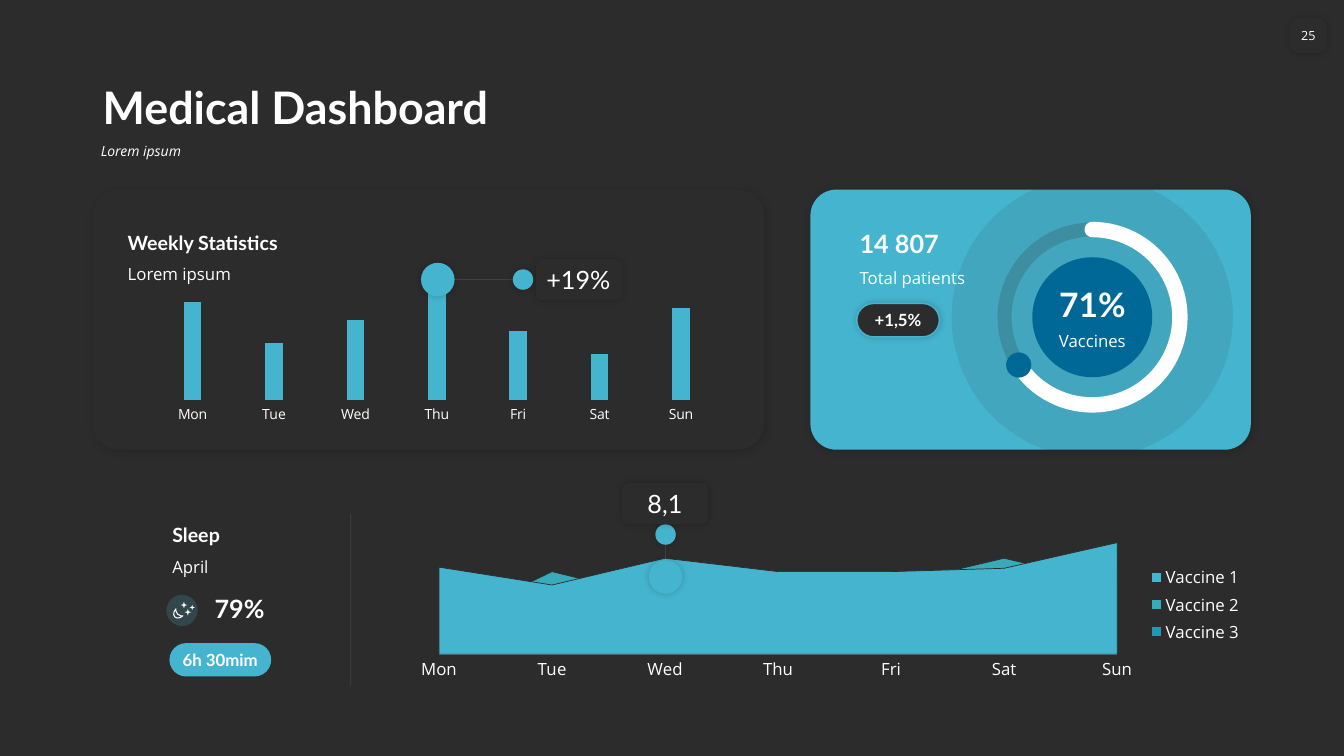
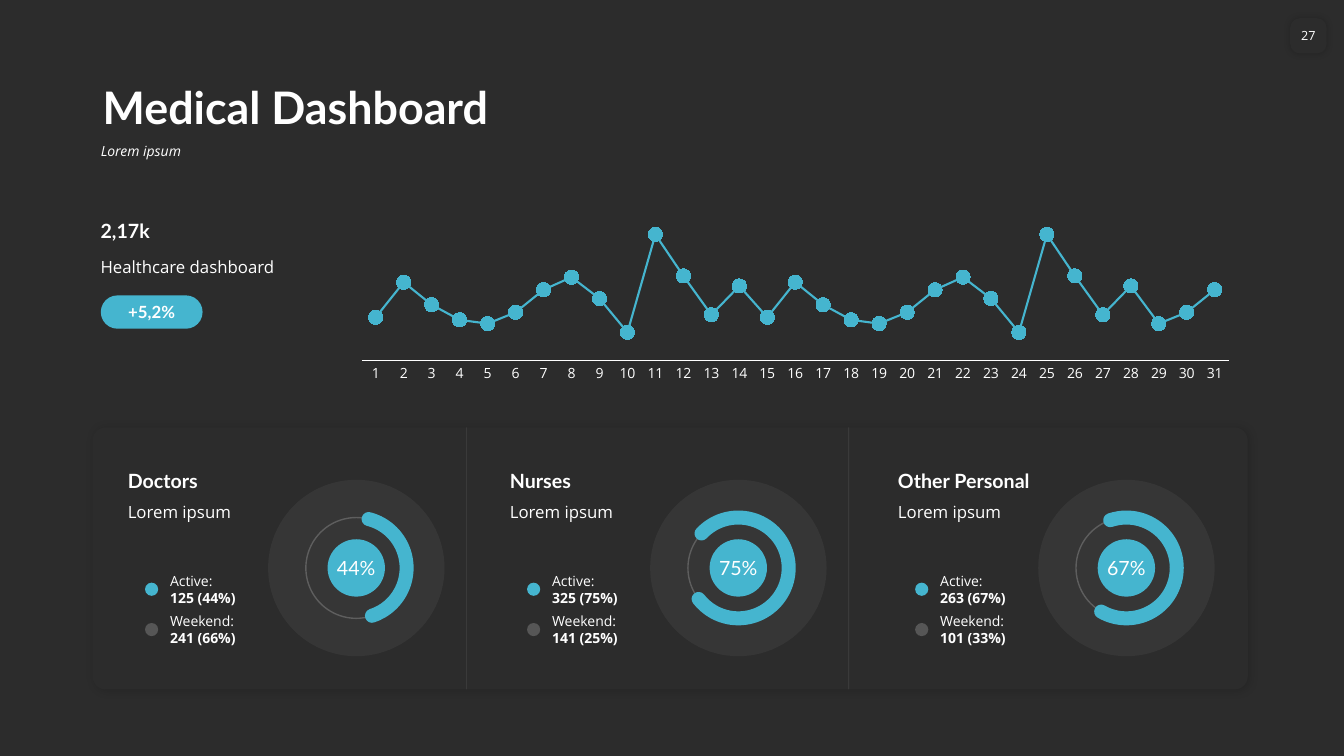
import math

import lxml.etree
import pptx
import pptx.chart.data
import pptx.dml.color
import pptx.enum.chart
import pptx.enum.shapes
import pptx.enum.text
import pptx.oxml.ns
import pptx.util

Pt = pptx.util.Pt
qn = pptx.oxml.ns.qn
SHAPE = pptx.enum.shapes.MSO_SHAPE
CHART = pptx.enum.chart.XL_CHART_TYPE
ALIGN = pptx.enum.text.PP_ALIGN
ANCHOR = pptx.enum.text.MSO_ANCHOR

DARK, WHITE, SKY, NAVY = "2C2C2C", "FFFFFF", "45B5CF", "006896"
HEAD_FONT, TEXT_FONT = "Lato", "Open Sans"
SOFT = (20, 5, 0)  # shadow opacity, blur, distance
PANEL_SHADOW = (15, 6, 1)
WEEKDAYS = ["Mon", "Tue", "Wed", "Thu", "Fri", "Sat", "Sun"]


def colour(hex_text):
    return pptx.dml.color.RGBColor.from_string(hex_text)


def points(*values):
    return [Pt(value) for value in values]


def child(parent, tag, **attributes):
    element = lxml.etree.SubElement(parent, qn(tag))
    for key, value in attributes.items():
        element.set(key, str(value))
    return element


def fade(shape, route, opacity):
    if opacity < 100:
        for tint in shape.element.spPr.xpath(route + "/a:srgbClr"):
            child(tint, "a:alpha", val=opacity * 1000)


def write(frame, text, size=12, font=TEXT_FONT, bold=False, italic=False, align=ALIGN.LEFT,
          anchor=ANCHOR.TOP, insets=(7.2, 3.6), wrap=True, spacing=None):
    """Fill a frame, one paragraph per line; bold may be a tuple with one flag per line."""
    lines = text.split("\n")
    weights = bold if isinstance(bold, tuple) else (bold,) * len(lines)
    frame.word_wrap = wrap
    frame.auto_size = pptx.enum.text.MSO_AUTO_SIZE.NONE
    frame.vertical_anchor = anchor
    frame.margin_left = frame.margin_right = Pt(insets[0])
    frame.margin_top = frame.margin_bottom = Pt(insets[1])
    for index, (line, weight) in enumerate(zip(lines, weights)):
        paragraph = frame.add_paragraph() if index else frame.paragraphs[0]
        paragraph.alignment = align
        paragraph.space_before = Pt(0)
        if spacing:
            paragraph.line_spacing = spacing
        run = paragraph.add_run()
        run.text = line
        run.font.size, run.font.name = Pt(size), font
        run.font.bold, run.font.italic = weight, italic
        run.font.color.rgb = colour(WHITE)


def label(slide, text, box, **style):
    write(slide.shapes.add_textbox(*points(*box)).text_frame, text, **style)


def draw(slide, kind, box, fill=None, opacity=100, line=None, width=1, line_opacity=100,
         shadow=None, adjust=()):
    shape = slide.shapes.add_shape(kind, *points(*box))
    for index, value in enumerate(adjust):
        shape.adjustments[index] = value
    if fill:
        shape.fill.solid()
        shape.fill.fore_color.rgb = colour(fill)
        fade(shape, "./a:solidFill", opacity)
    else:
        shape.fill.background()
    if line:
        shape.line.color.rgb = colour(line)
        shape.line.width = Pt(width)
        fade(shape, "./a:ln/a:solidFill", line_opacity)
    else:
        shape.line.fill.background()
    shape.shadow.inherit = False
    if shadow:
        strength, blur, distance = shadow
        effects = shape.element.spPr.find(qn("a:effectLst"))
        cast = child(effects, "a:outerShdw", blurRad=Pt(blur), dist=Pt(distance),
                     dir=45 * 60000, algn="ctr", rotWithShape=0)
        child(child(cast, "a:srgbClr", val="000000"), "a:alpha", val=strength * 1000)
    return shape


def disc(slide, centre, diameter, fill=None, **style):
    x, y = centre
    box = (x - diameter / 2, y - diameter / 2, diameter, diameter)
    return draw(slide, SHAPE.OVAL, box, fill, **style)


def arc(slide, centre, diameter, start, end, line, width):
    """Round-ended arc; angles in degrees, clockwise from the right."""
    x, y = centre
    box = (x - diameter / 2, y - diameter / 2, diameter, diameter)
    band = draw(slide, SHAPE.ARC, box, line=line, width=width, adjust=(start * 0.6, end * 0.6))
    band.element.spPr.find(qn("a:ln")).set("cap", "rnd")


def hairline(slide, start, end):
    rule = slide.shapes.add_connector(pptx.enum.shapes.MSO_CONNECTOR.STRAIGHT,
                                      *points(*start, *end))
    rule.line.color.rgb = colour(WHITE)
    rule.line.width = Pt(0.5)
    fade(rule, "./a:ln/a:solidFill", 10)
    child(rule.element.spPr, "a:effectLst")


def pill(slide, text, box, fill=SKY, **style):
    capsule = draw(slide, SHAPE.ROUNDED_RECTANGLE, box, fill, adjust=(0.5,), **style)
    write(capsule.text_frame, text, font=HEAD_FONT, bold=True, align=ALIGN.CENTER,
          anchor=ANCHOR.MIDDLE, insets=(0, 0))


def heading(slide, title, caption, left, caption_top, width, size=14, gap=0, align=ALIGN.LEFT):
    height = size * 1.2 + 7.2
    label(slide, title, (left, caption_top - gap - height, width, height), size=size,
          font=HEAD_FONT, bold=True, align=align, anchor=ANCHOR.BOTTOM)
    label(slide, caption, (left, caption_top, width, 21.6), align=align)


def callout(slide, text, marker, dot, corner, align):
    hairline(slide, marker, dot)
    disc(slide, marker, 24, SKY, shadow=SOFT)
    disc(slide, dot, 14.6, SKY, shadow=SOFT)
    bubble = draw(slide, SHAPE.ROUNDED_RECTANGLE, (*corner, 61.2, 29.5), DARK, shadow=SOFT)
    write(bubble.text_frame, text, size=18, font=HEAD_FONT, align=align,
          anchor=ANCHOR.MIDDLE, insets=(5.8, 3.6))


def plot_chart(slide, kind, box, categories, series, inner, top, size, crossing="between",
               axis_line=True):
    """Chart with a hidden value axis; inner is the plot box as fractions of the chart."""
    data = pptx.chart.data.CategoryChartData()
    data.categories = categories
    for name, values, _ in series:
        data.add_series(name, values)
    chart = slide.shapes.add_chart(kind, *points(*box), data).chart
    chart.has_title = chart.has_legend = False
    chart.font.size, chart.font.name = Pt(size), TEXT_FONT
    chart.font.color.rgb = colour(WHITE)
    chart.plots[0].vary_by_categories = False
    scale, days = chart.value_axis, chart.category_axis
    scale.visible = scale.has_major_gridlines = False
    scale.minimum_scale, scale.maximum_scale = 0, top
    days.has_major_gridlines = False
    days.major_tick_mark = days.minor_tick_mark = pptx.enum.chart.XL_TICK_MARK.NONE
    if axis_line:
        days.format.line.color.rgb = colour(WHITE)
        days.format.line.width = Pt(0.75)
    else:
        days.format.line.fill.background()
    for crossed in chart.element.xpath(".//c:valAx/c:crossBetween"):
        crossed.set("val", crossing)
    plot_area = chart.element.xpath(".//c:plotArea")[0]
    for automatic in plot_area.findall(qn("c:layout")):
        plot_area.remove(automatic)
    layout = child(plot_area, "c:layout")
    plot_area.insert(0, layout)
    manual = child(layout, "c:manualLayout")
    child(manual, "c:layoutTarget", val="inner")
    for side in ("x", "y"):
        child(manual, f"c:{side}Mode", val="edge")
    for side, share in zip("xywh", inner):
        child(manual, f"c:{side}", val=share)
    for drawn, (_, _, fill) in zip(chart.plots[0].series, series):
        if kind == CHART.LINE_MARKERS_STACKED:
            drawn.smooth = False
            drawn.format.line.color.rgb = colour(fill)
            drawn.format.line.width = Pt(1.5)
            drawn.marker.style = pptx.enum.chart.XL_MARKER_STYLE.CIRCLE
            drawn.marker.size = 10
            drawn.marker.format.line.color.rgb = colour(fill)
            surface = drawn.marker.format.fill
        else:
            surface = drawn.format.fill
        surface.solid()
        surface.fore_color.rgb = colour(fill)
    return chart


def dashboard_slide(deck, number):
    slide = deck.slides.add_slide(deck.slide_layouts[1])
    title, subtitle = slide.placeholders[0], slide.placeholders[1]
    title.left, title.top, title.width, title.height = points(66.2, 41.8, 828, 57.6)
    subtitle.left, subtitle.top, subtitle.width, subtitle.height = points(64.8, 99.4, 829.4, 26)
    write(title.text_frame, "Medical Dashboard", size=32, font=HEAD_FONT, bold=True,
          anchor=ANCHOR.BOTTOM, spacing=0.9)
    plain = subtitle.text_frame.paragraphs[0]._p.get_or_add_pPr()
    plain.set("marL", "0")
    plain.set("indent", "0")
    child(plain, "a:buNone")
    write(subtitle.text_frame, "Lorem ipsum", size=10, italic=True, spacing=0.9)
    tab = draw(slide, SHAPE.ROUNDED_RECTANGLE, (921.6, 13, 26, 25.2), DARK, shadow=SOFT,
               adjust=(0.27,))
    write(tab.text_frame, number, size=9, align=ALIGN.CENTER, anchor=ANCHOR.MIDDLE,
          insets=(0, 3.6), wrap=False)
    return slide


def weekly_panel(slide, box):
    left, top, width, _ = box
    draw(slide, SHAPE.ROUNDED_RECTANGLE, box, DARK, shadow=PANEL_SHADOW, adjust=(0.1,))
    chart = plot_chart(slide, CHART.COLUMN_CLUSTERED, (left + 33.8, top + 49.7, 424, 120.2),
                       WEEKDAYS, [("Series 1", (86, 50, 70, 100, 60, 40, 80), SKY)],
                       (0.02, 0.02, 0.96, 0.82), 120, 10, axis_line=False)
    chart.plots[0].gap_width, chart.plots[0].overlap = 360, -30
    heading(slide, "Weekly Statistics", "Lorem ipsum", left + 18, top + 49.7, 144)
    level = top + 64.3
    callout(slide, "+19%", (left + 246.5, level), (left + 307.4, level),
            (left + 316.8, top + 49.7), ALIGN.LEFT)


def patients_panel(slide, box):
    left, top = box[:2]
    draw(slide, SHAPE.ROUNDED_RECTANGLE, box, SKY, shadow=PANEL_SHADOW, adjust=(0.1,))
    centre = x, y = left + 201.3, top + 91.2
    ring, turn = 125.3, math.radians(147)
    disc(slide, centre, 200.9, DARK, opacity=10)
    disc(slide, centre, 85.7, NAVY)
    disc(slide, centre, ring, line=DARK, width=10, line_opacity=20)
    arc(slide, centre, ring, 270, 140.65, WHITE, 11)
    disc(slide, (x + ring / 2 * math.cos(turn), y + ring / 2 * math.sin(turn)), 18, NAVY)
    heading(slide, "71%", "Vaccines", x - 42.8, top + 97.6, 85.7, size=24, gap=-2,
            align=ALIGN.CENTER)
    heading(slide, "14 807", "Total patients", left + 28, top + 52.5, 134, size=18)
    pill(slide, "+1,5%", (left + 33.1, top + 81.4, 59, 23.8), DARK, line=SKY, shadow=SOFT)


def sleep_panel(slide, left, top):
    heading(slide, "Sleep", "April", left, top + 26.8, 119.5)
    disc(slide, (left + 14, top + 69), 22.3, SKY, opacity=20)
    label(slide, "79%", (left + 30.2, top + 53.5, 89.3, 28.8), size=18, font=HEAD_FONT,
          bold=True, anchor=ANCHOR.BOTTOM)
    pill(slide, "6h 30mim", (left + 5, top + 92.4, 72.7, 23.8))
    moon = draw(slide, SHAPE.MOON, (left + 8.2, top + 68.5, 4.6, 7), line=WHITE, width=0.75,
                adjust=(0.6,))
    moon.rotation = 315
    for x, y, size in ((19.4, 65, 3.8), (13, 62.8, 4.8), (15.8, 67.9, 4.8)):
        draw(slide, SHAPE.STAR_4_POINT, (left + x, top + y, size, size), WHITE, adjust=(0.17,))
    hairline(slide, (left + 134.6, top + 122.6), (left + 134.6, top))


def vaccine_trend(slide, box):
    left, top = box[:2]
    series = [("Vaccine 1", (78, 62, 86, 74, 74, 77, 100), SKY),
              ("Vaccine 2", (25, 74, 49, 37, 62, 86, 62), "39AAB9"),
              ("Vaccine 3", (37, 49, 25, 25, 49, 62, 74), "199DB3")]
    chart = plot_chart(slide, CHART.AREA, box, WEEKDAYS, series, (0.04, 0.11, 0.8, 0.7), 100, 12,
                       crossing="midCat")
    for area in chart.plots[0].series:
        area.format.line.color.rgb = colour(DARK)
        area.format.line.width = Pt(0.5)
    chart.has_legend = True
    chart.legend.position = pptx.enum.chart.XL_LEGEND_POSITION.RIGHT
    chart.legend.include_in_layout = False
    x = left + 186
    callout(slide, "8,1", (x, top + 37), (x, top + 6.7), (x - 31, top - 30.2), ALIGN.CENTER)


def healthcare_summary(slide, left, top):
    heading(slide, "2,17k", "Healthcare dashboard", left, top + 28, 153.4, gap=3.5)
    pill(slide, "+5,2%", (left + 7.2, top + 59, 72.7, 23.8))


def daily_chart(slide, box):
    values = (34, 62, 44, 32, 29, 38, 56, 66, 49, 22, 100, 67, 36, 59, 34, 62, 44, 32, 29, 38,
              56, 66, 49, 22, 100, 67, 36, 59, 29, 38, 56)
    plot_chart(slide, CHART.LINE_MARKERS_STACKED, box, [str(day) for day in range(1, 32)],
               [("Series 1", values, SKY)], (0.02, 0.01, 0.96, 0.84), 120, 10)


def staff_card(slide, left, top, role, share, start, end, active, weekend):
    centre = x, y = left + 188.3, top + 100.4
    disc(slide, centre, 126, WHITE, opacity=5)
    disc(slide, centre, 72, line=WHITE, line_opacity=20)
    heading(slide, role, "Lorem ipsum", left + 18, top + 49.7, 206)
    core = disc(slide, centre, 41, SKY)
    write(core.text_frame, share, size=14, font=HEAD_FONT, align=ALIGN.CENTER,
          anchor=ANCHOR.MIDDLE, insets=(0, 3.6), wrap=False)
    arc(slide, centre, 72, start, end, SKY, 10)
    rows = (("Active:", active, SKY, 100), ("Weekend:", weekend, WHITE, 20))
    for index, (name, count, fill, opacity) in enumerate(rows):
        level = top + 115.6 + 28.8 * index
        disc(slide, (left + 42.1, level), 9.4, fill, opacity=opacity)
        label(slide, f"{name}\n{count}", (left + 48.2, level - 15.9, 85, 31.8), size=10,
              bold=(False, True), anchor=ANCHOR.MIDDLE)


def staff_panel(slide, box):
    left, top, _, height = box
    draw(slide, SHAPE.ROUNDED_RECTANGLE, box, DARK, shadow=PANEL_SHADOW, adjust=(0.05,))
    cards = ((0, "Doctors", "44%", 284.2, 71.8, "125 (44%)", "241 (66%)"),
             (272.9, "Nurses", "75%", 223.1, 142, "325 (75%)", "141 (25%)"),
             (550.1, "Other Personal", "67%", 251.3, 120, "263 (67%)", "101 (33%)"))
    for offset, *facts in cards:
        staff_card(slide, left + offset, top, *facts)
    for index in (1, 2):
        x = left + 267.1 + 272.9 * (index - 1)
        hairline(slide, (x, top + height), (x, top))


def main():
    deck = pptx.Presentation()
    deck.slide_width, deck.slide_height = points(960, 540)
    backdrop = deck.slide_master.background.fill
    backdrop.solid()
    backdrop.fore_color.rgb = colour(DARK)

    patients = dashboard_slide(deck, "25")
    weekly_panel(patients, (66.2, 135.4, 479.5, 185.8))
    patients_panel(patients, (578.9, 135.4, 314.6, 185.8))
    sleep_panel(patients, 116, 367)
    vaccine_trend(patients, (289.4, 375.1, 605.5, 113.8))

    staff = dashboard_slide(deck, "27")
    daily_chart(staff, (245.5, 148.3, 645.1, 128.2))
    healthcare_summary(staff, 64.8, 152)
    staff_panel(staff, (66.2, 305.3, 825.1, 187.2))
    deck.save("out.pptx")


if __name__ == "__main__":
    main()
